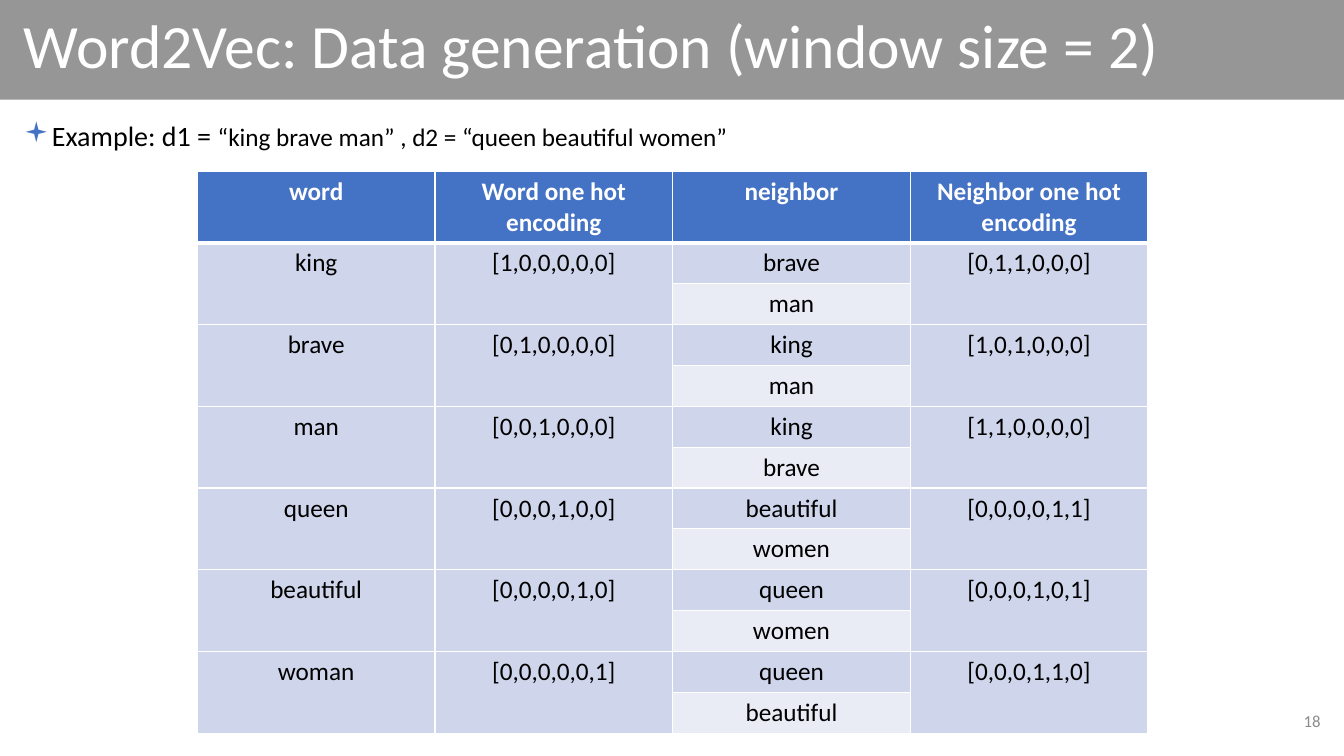
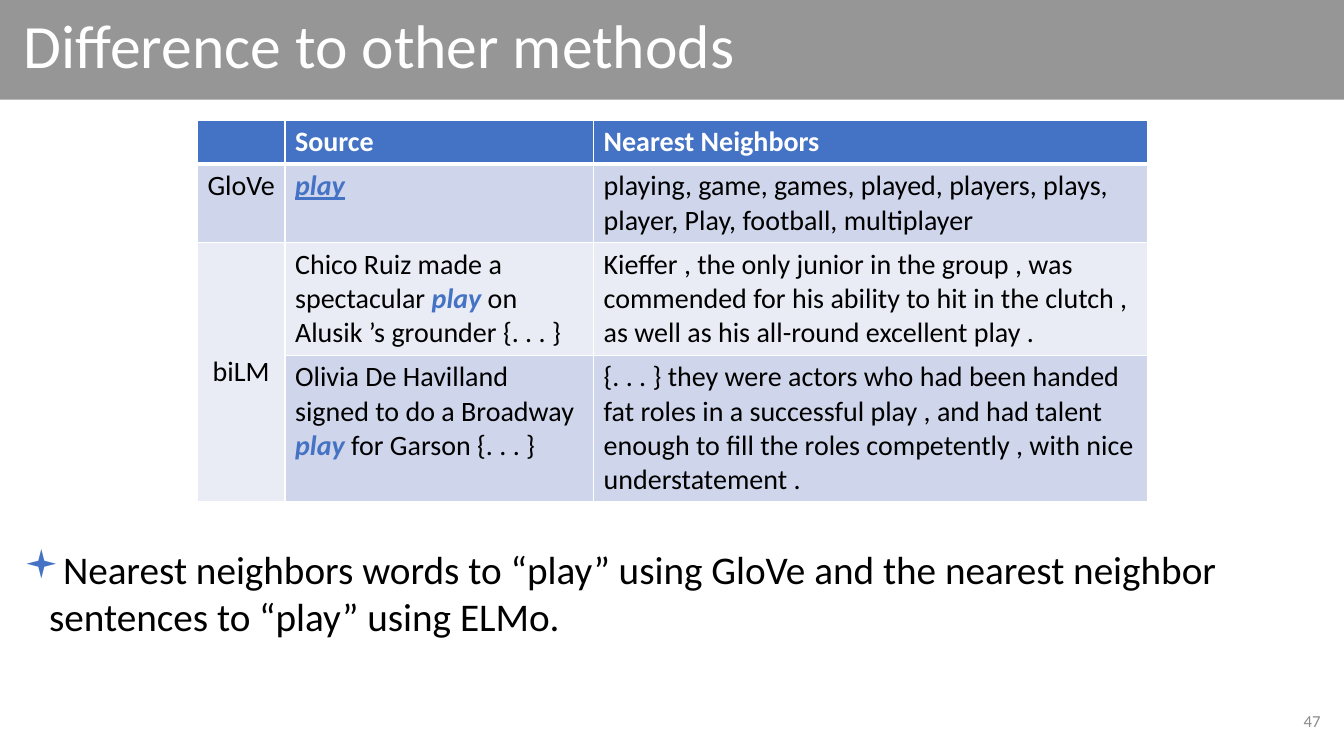
from dataclasses import dataclass

from lxml import etree
from pptx import Presentation
from pptx.dml.color import RGBColor
from pptx.enum import shapes, text
from pptx.oxml import ns
from pptx.util import Pt


@dataclass(frozen=True)
class Theme:
    font: str = "Calibri"
    white: RGBColor = RGBColor(0xFF, 0xFF, 0xFF)
    black: RGBColor = RGBColor(0, 0, 0)
    band: RGBColor = RGBColor(0x96, 0x96, 0x96)
    number: RGBColor = RGBColor(0x8C, 0x8C, 0x8C)
    accent: RGBColor = RGBColor(0x44, 0x72, 0xC4)
    rows: tuple = (RGBColor(0xE9, 0xEB, 0xF5), RGBColor(0xCF, 0xD5, 0xEA))
    title_size: int = 44
    body_size: int = 28
    example_size: int = 20
    small_size: int = 18
    number_size: int = 12


theme = Theme()
CENTER, RIGHT, LEFT = text.PP_ALIGN.CENTER, text.PP_ALIGN.RIGHT, text.PP_ALIGN.LEFT
TOP, MIDDLE = text.MSO_ANCHOR.TOP, text.MSO_ANCHOR.MIDDLE


def write_runs(paragraph, runs, size, color, align=LEFT, **base):
    paragraph.alignment = align
    for wording, changes in runs:
        run = paragraph.add_run()
        run.text = wording
        look = {"name": theme.font, "size": Pt(size), "rgb": color, **base, **changes}
        for key, value in look.items():
            setattr(run.font.color if key == "rgb" else run.font, key, value)


def add_text(slide, left, top, width, height, anchor):
    frame = slide.shapes.add_textbox(Pt(left), Pt(top), Pt(width), Pt(height)).text_frame
    frame.word_wrap = True
    frame.vertical_anchor = anchor
    return frame.paragraphs[0]


emphasis = {"rgb": theme.accent, "bold": True, "italic": True}
word_pairs = [
    ("king", "[1,0,0,0,0,0]", "brave", "man", "[0,1,1,0,0,0]"),
    ("brave", "[0,1,0,0,0,0]", "king", "man", "[1,0,1,0,0,0]"),
    ("man", "[0,0,1,0,0,0]", "king", "brave", "[1,1,0,0,0,0]"),
    ("queen", "[0,0,0,1,0,0]", "beautiful", "women", "[0,0,0,0,1,1]"),
    ("beautiful", "[0,0,0,0,1,0]", "queen", "women", "[0,0,0,1,0,1]"),
    ("woman", "[0,0,0,0,0,1]", "queen", "beautiful", "[0,0,0,1,1,0]"),
]
encoding_rows = [["word", "Word one hot encoding", "neighbor", "Neighbor one hot encoding"]]
for word, code, first, second, neighbor_code in word_pairs:
    encoding_rows += [[word, code, first, neighbor_code], [None, None, second, None]]

neighbor_rows = [
    [None, "Source", "Nearest Neighbors"],
    ["GloVe", [("play", {**emphasis, "underline": True})],
     "playing, game, games, played, players, plays, player, Play, football, multiplayer"],
    ["biLM",
     [("Chico Ruiz made a spectacular ", {}), ("play", emphasis),
      (" on Alusik ’s grounder {. . . }", {})],
     "Kieffer , the only junior in the group , was commended for his ability to hit "
     "in the clutch , as well as his all-round excellent play ."],
    [None,
     [("Olivia De Havilland signed to do a Broadway ", {}), ("play", emphasis),
      (" for Garson {. . . }", {})],
     "{. . . } they were actors who had been handed fat roles in a successful play , "
     "and had talent enough to fill the roles competently , with nice understatement ."],
]

topics = [
    {
        "title": "Word2Vec: Data generation (window size = 2)",
        "number": "18",
        "bullet": [("Example: d1 = ", {}),
                   ("“king brave man” , d2 = “queen beautiful women”",
                    {"size": Pt(theme.small_size)})],
        "bullet_size": theme.example_size, "bullet_top": 81.4, "bullet_height": 405,
        "table_top": 122.4,
        "rows": encoding_rows,
        "widths": [169.75] * 4,
        "heights": [51] + [29.2] * 12,
        "size": theme.small_size,
        "centered": (0, 1, 2, 3),
        "merges": [(row, col) for row in range(1, 13, 2) for col in (0, 1, 3)],
        "middle": [],
    },
    {
        "title": "Difference to other methods",
        "number": "47",
        "bullet": [("Nearest neighbors words to “play” using GloVe and the nearest "
                    "neighbor sentences to “play” using ELMo.", {})],
        "bullet_size": theme.body_size, "bullet_top": 386, "bullet_height": 101,
        "table_top": 85.7,
        "rows": neighbor_rows,
        "widths": [62.6, 220.4, 396],
        "heights": [31.6, 56, 80.4, 104.8],
        "size": theme.example_size,
        "centered": (0,),
        "merges": [(2, 0)],
        "middle": [(2, 0)],
    },
]

deck = Presentation()
deck.slide_width, deck.slide_height = Pt(960), Pt(540)

for topic in topics:
    slide = deck.slides.add_slide(deck.slide_layouts[6])
    band = slide.shapes.add_shape(shapes.MSO_SHAPE.RECTANGLE, 0, Pt(-0.7), Pt(960), Pt(72))
    band.shadow.inherit = False
    band.fill.solid()
    band.fill.fore_color.rgb = theme.band
    band.line.fill.background()

    title = add_text(slide, 10, 2, 940, 66, MIDDLE)
    title.line_spacing = 0.9
    write_runs(title, [(topic["title"], {})], theme.title_size, theme.white)

    bullet = add_text(slide, 10, topic["bullet_top"], 940, topic["bullet_height"], TOP)
    bullet.space_after = Pt(6)
    props = bullet._p.get_or_add_pPr()
    props.set("marL", str(Pt(18)))
    props.set("indent", str(Pt(-18)))
    bullet_color = etree.SubElement(props, ns.qn("a:buClr"))
    etree.SubElement(bullet_color, ns.qn("a:srgbClr"), val=str(theme.accent))
    etree.SubElement(props, ns.qn("a:buFont"), typeface="Wingdings")
    etree.SubElement(props, ns.qn("a:buChar"), char="▪")
    write_runs(bullet, topic["bullet"], topic["bullet_size"], theme.black)

    number = add_text(slide, 734.4, 500.4, 216, 28.8, MIDDLE)
    write_runs(number, [(topic["number"], {})], theme.number_size, theme.number, RIGHT)

    rows, widths, heights = topic["rows"], topic["widths"], topic["heights"]
    table = slide.shapes.add_table(
        len(rows), len(widths), Pt(141), Pt(topic["table_top"]),
        Pt(sum(widths)), Pt(sum(heights))).table
    for column, width in zip(table.columns, widths):
        column.width = Pt(width)
    for line, height in zip(table.rows, heights):
        line.height = Pt(height)

    for r, row in enumerate(rows):
        header = r == 0
        for c, content in enumerate(row):
            cell = table.cell(r, c)
            cell.vertical_anchor = MIDDLE if (r, c) in topic["middle"] else TOP
            cell_props = cell._tc.get_or_add_tcPr()
            for side in "LRTB":
                thick = (r, side) in ((0, "B"), (1, "T"))
                border = etree.SubElement(cell_props, ns.qn(f"a:ln{side}"),
                                          w=str(Pt(3 if thick else 1)))
                paint = etree.SubElement(border, ns.qn("a:solidFill"))
                etree.SubElement(paint, ns.qn("a:srgbClr"), val=str(theme.white))
            cell.fill.solid()
            cell.fill.fore_color.rgb = theme.accent if header else theme.rows[r % 2]
            if content:
                runs = [(content, {})] if isinstance(content, str) else content
                write_runs(cell.text_frame.paragraphs[0], runs, topic["size"],
                           theme.white if header else theme.black,
                           CENTER if c in topic["centered"] else LEFT, bold=header)
    for r, c in topic["merges"]:
        table.cell(r, c).merge(table.cell(r + 1, c))

deck.save("out.pptx")
